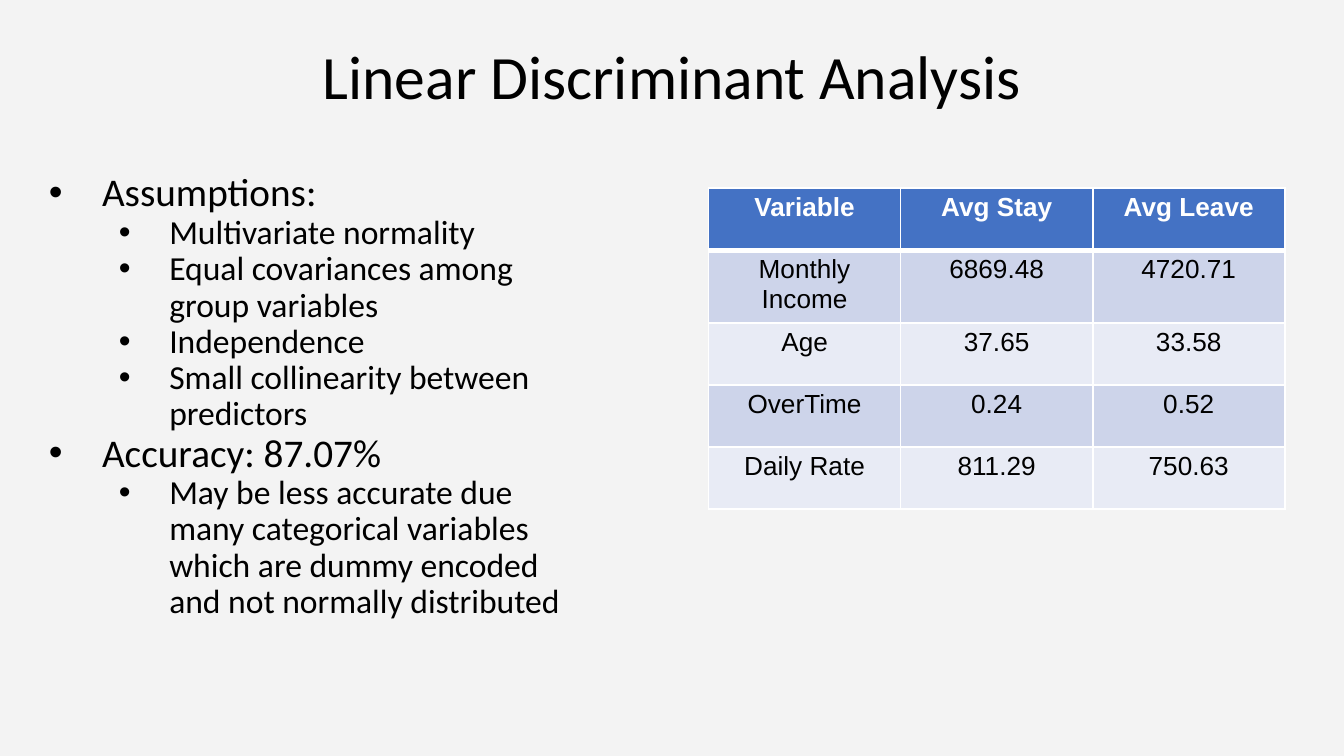
import dataclasses

import pptx
import pptx.dml.color
import pptx.enum.text
import pptx.oxml.ns
import pptx.util
from lxml import etree

Pt = pptx.util.Pt
CENTER = pptx.enum.text.PP_ALIGN.CENTER
MIDDLE = pptx.enum.text.MSO_ANCHOR.MIDDLE
TOP = pptx.enum.text.MSO_ANCHOR.TOP
BLACK, WHITE = "000000", "FFFFFF"
HEADER_FILL = "4472C4"
BAND_FILLS = ("E8EBF5", "CDD4EA")


@dataclasses.dataclass(frozen=True)
class Level:
    size: float
    margin: float
    indent: float


@dataclasses.dataclass(frozen=True)
class Bullet:
    text: str
    level: int = 1
    before: float = 0


LEVELS = (Level(21, 36, -28.5), Level(18, 72, -27))
BULLETS = (
    Bullet("Assumptions:", level=0, before=8),
    Bullet("Multivariate normality"),
    Bullet("Equal covariances among group variables"),
    Bullet("Independence"),
    Bullet("Small collinearity between predictors"),
    Bullet("Accuracy: 87.07%", level=0),
    Bullet("May be less accurate due many categorical variables "
           "which are dummy encoded and not normally distributed"),
)
ROWS = (
    ("Variable", "Avg Stay", "Avg Leave"),
    ("Monthly Income", "6869.48", "4720.71"),
    ("Age", "37.65", "33.58"),
    ("OverTime", "0.24", "0.52"),
    ("Daily Rate", "811.29", "750.63"),
)


def rgb(color: str):
    return pptx.dml.color.RGBColor.from_string(color)


def fill_solid(fill, color: str) -> None:
    fill.solid()
    fill.fore_color.rgb = rgb(color)


def sub(parent, tag: str, **attrs: str):
    """Append a DrawingML child element."""
    return etree.SubElement(parent, pptx.oxml.ns.qn(f"a:{tag}"), attrs)


def write(p, text: str, *, size: float, font: str = "Calibri", color: str = BLACK,
          bold: bool = False, align=None, spacing: float | None = None,
          before: float = 0) -> None:
    p.alignment = align
    p.line_spacing = spacing
    p.space_before = Pt(before)
    r = p.add_run()
    r.text = text
    r.font.size = Pt(size)
    r.font.name = font
    r.font.bold = bold
    r.font.color.rgb = rgb(color)


def add_box(s, x: float, y: float, w: float, h: float, *,
            inset_x: float, inset_y: float, anchor):
    tf = s.shapes.add_textbox(Pt(x), Pt(y), Pt(w), Pt(h)).text_frame
    tf.word_wrap = True
    tf.vertical_anchor = anchor
    tf.margin_left = tf.margin_right = Pt(inset_x)
    tf.margin_top = tf.margin_bottom = Pt(inset_y)
    return tf


def set_bullet(p, level: Level) -> None:
    pPr = p._p.get_or_add_pPr()
    pPr.set("marL", str(Pt(level.margin)))
    pPr.set("indent", str(Pt(level.indent)))
    sub(sub(pPr, "buClr"), "srgbClr", val=BLACK)
    sub(pPr, "buFont", typeface="Arial")
    sub(pPr, "buChar", char="•")


def set_borders(cell, **widths: float) -> None:
    """Draw white cell edges; must run before the cell is filled."""
    tcPr = cell._tc.get_or_add_tcPr()
    for side, width in widths.items():
        ln = sub(tcPr, f"ln{side}", w=str(Pt(width)))
        sub(sub(ln, "solidFill"), "srgbClr", val=WHITE)


def add_bullets(s) -> None:
    tf = add_box(s, 13.7, 87.8, 306, 257, inset_x=5, inset_y=5, anchor=TOP)
    for i, item in enumerate(BULLETS):
        p = tf.add_paragraph() if i else tf.paragraphs[0]
        level = LEVELS[item.level]
        p.level = item.level
        write(p, item.text, size=level.size, spacing=0.9, before=item.before)
        set_bullet(p, level)


def add_averages(s) -> None:
    col_w, row_h = 102.9, 33.2
    n_rows, n_cols = len(ROWS), len(ROWS[0])
    table = s.shapes.add_table(n_rows, n_cols, Pt(379.6), Pt(100.8),
                               Pt(col_w * n_cols), Pt(row_h * n_rows)).table
    for col in table.columns:
        col.width = Pt(col_w)
    for i, values in enumerate(ROWS):
        table.rows[i].height = Pt(row_h)
        header = i == 0
        for j, value in enumerate(values):
            cell = table.cell(i, j)
            cell.margin_left = cell.margin_right = Pt(5.4)
            cell.margin_top = cell.margin_bottom = Pt(2.7)
            set_borders(cell, L=1, R=1, T=3 if i == 1 else 1, B=3 if header else 1)
            fill_solid(cell.fill, HEADER_FILL if header else BAND_FILLS[i % 2])
            write(cell.text_frame.paragraphs[0], value, size=14, font="Arial",
                  color=WHITE if header else BLACK, bold=header, align=CENTER)


def main() -> None:
    prs = pptx.Presentation()
    prs.slide_width, prs.slide_height = Pt(720), Pt(405)
    s = prs.slides.add_slide(prs.slide_layouts[6])
    fill_solid(s.background.fill, "F3F3F3")
    title = add_box(s, 49.5, 3.6, 621, 78.3, inset_x=5, inset_y=2.7, anchor=MIDDLE)
    write(title.paragraphs[0], "Linear Discriminant Analysis", size=33,
          align=CENTER, spacing=0.9)
    add_averages(s)
    add_bullets(s)
    prs.save("out.pptx")


if __name__ == "__main__":
    main()
